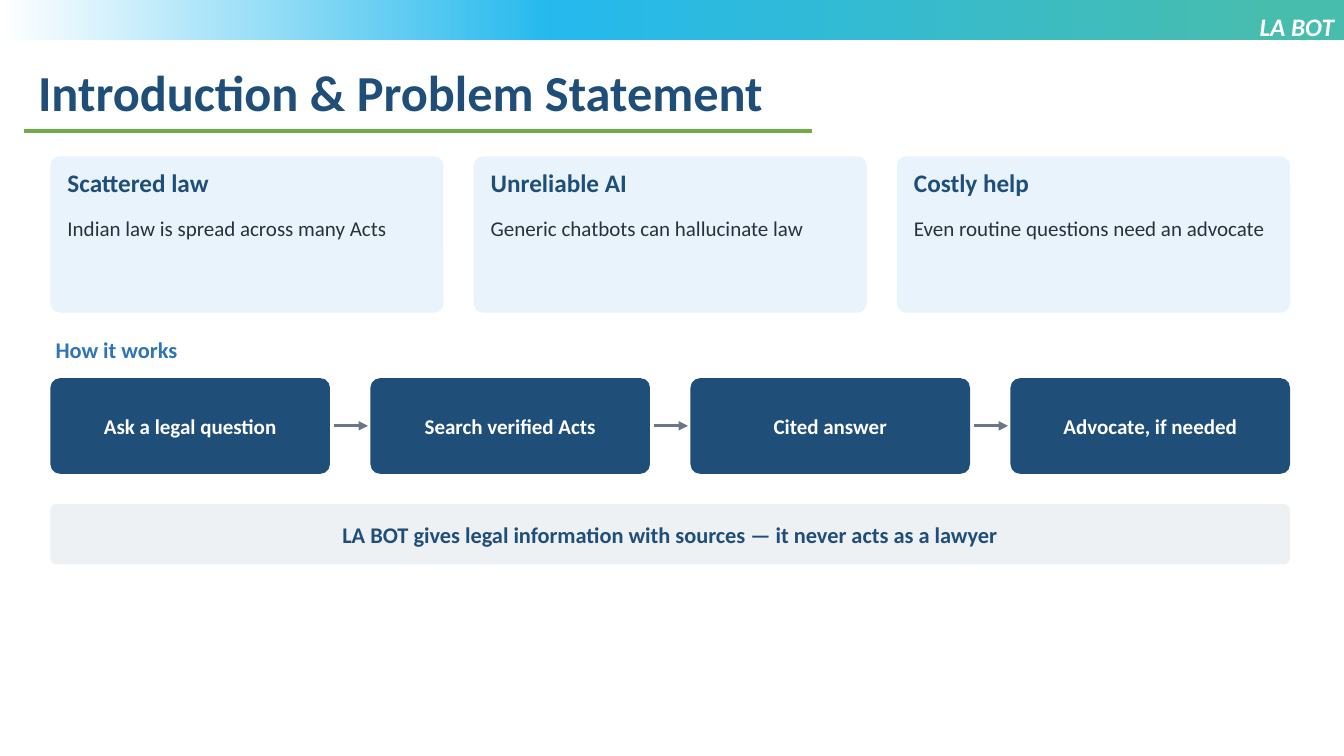
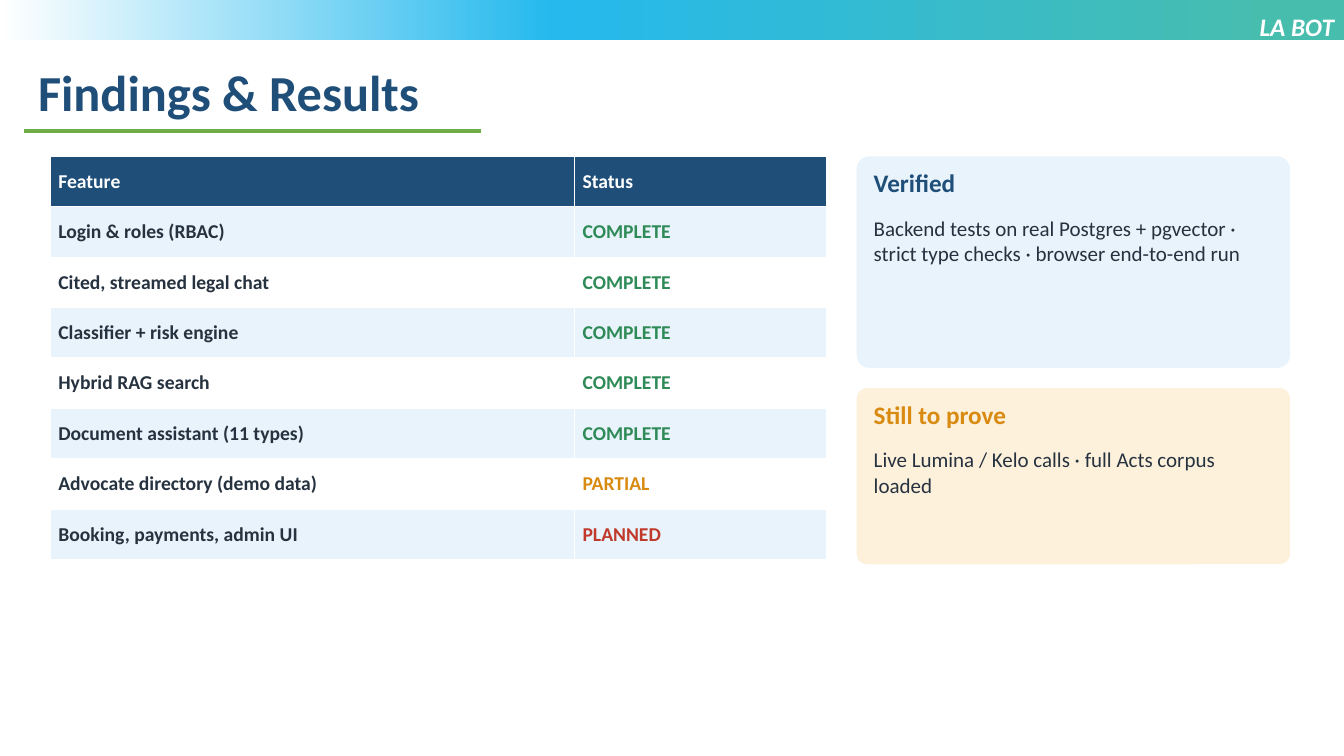
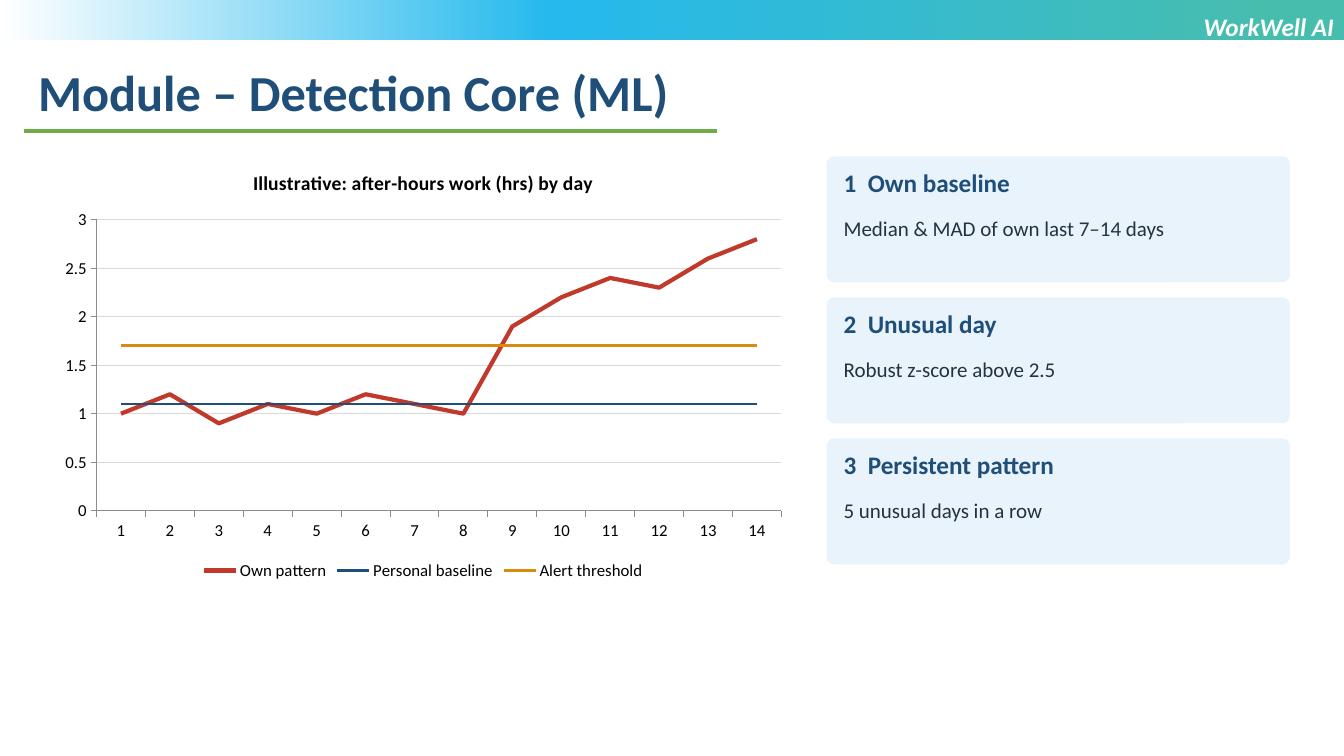
import pptx
import pptx.chart.data
import pptx.dml.color
import pptx.enum.chart
import pptx.enum.shapes
import pptx.enum.text
import pptx.oxml
import pptx.oxml.ns
import pptx.util
from lxml import etree

Cm = pptx.util.Cm
Pt = pptx.util.Pt
Align = pptx.enum.text.PP_ALIGN
Anchor = pptx.enum.text.MSO_ANCHOR
Shape = pptx.enum.shapes.MSO_SHAPE
qn = pptx.oxml.ns.qn

COLORS = {
    "navy": "1F4E79", "blue": "2E75B6", "pale": "E8F3FB", "ink": "26323F",
    "white": "FFFFFF", "green": "70AD47", "arrow": "6B7785", "mist": "EEF1F4",
    "cream": "FDF1DC", "amber": "D98A10", "red": "C0392B", "done": "2E8B57",
    "teal": "47BDAE", "sky": "25B9ED", "grid": "D9D9D9", "axis": "8C8C8C", "black": "000000",
}
BAND_STOPS = [(5, "teal"), (59, "sky"), (100, "white")]
WIDTH, HEIGHT = 33.87, 19.05
LEFT, RIGHT, TOP, BOTTOM = 1.27, 32.51, 3.94, 14.22
FULL = RIGHT - LEFT
TIGHT = (0.13, 0.08)


def color(name):
    return pptx.dml.color.RGBColor.from_string(COLORS[name])


def split(start, total, count, gap):
    size = (total - gap * (count - 1)) / count
    return [start + index * (size + gap) for index in range(count)], size


class Slides:
    font = "Calibri"

    def __init__(self):
        self.deck = pptx.Presentation()
        self.deck.slide_width, self.deck.slide_height = Cm(WIDTH), Cm(HEIGHT)
        self.page = None

    def style(self, font, size, ink, bold=False, italic=False):
        font.name, font.size, font.bold, font.italic = self.font, Pt(size), bold, italic
        font.color.rgb = color(ink)

    def add_span(self, frame, text, size, ink, bold=False, italic=False, align=Align.LEFT):
        para = frame.paragraphs[0]
        para.alignment = align
        if "\t" in text:
            stops = etree.SubElement(para._p.get_or_add_pPr(), qn("a:tabLst"))
            etree.SubElement(stops, qn("a:tab"), pos=str(Cm(0.61)), algn="l")
        span = para.add_run()
        span.text = text
        self.style(span.font, size, ink, bold, italic)

    def inset(self, target, side, edge):
        target.margin_left = target.margin_right = Cm(side)
        target.margin_top = target.margin_bottom = Cm(edge)

    def text(self, left, top, width, height, text, size, ink, insets=TIGHT, **look):
        box = self.page.shapes.add_textbox(Cm(left), Cm(top), Cm(width), Cm(height))
        frame = box.text_frame
        frame.word_wrap = True
        frame.auto_size = pptx.enum.text.MSO_AUTO_SIZE.SHAPE_TO_FIT_TEXT
        self.inset(frame, *insets)
        self.add_span(frame, text, size, ink, **look)

    def shape(self, left, top, width, height, fill, radius=None):
        kind = Shape.RECTANGLE if radius is None else Shape.ROUNDED_RECTANGLE
        shape = self.page.shapes.add_shape(kind, Cm(left), Cm(top), Cm(width), Cm(height))
        shape.shadow.inherit = False
        shape.fill.solid()
        shape.fill.fore_color.rgb = color(fill)
        shape.line.fill.background()
        if radius is not None:
            shape.adjustments[0] = radius
        return shape

    def line(self, start, end, top, ink, arrow=False):
        line = self.page.shapes.add_connector(
            pptx.enum.shapes.MSO_CONNECTOR.STRAIGHT, Cm(start), Cm(top), Cm(end), Cm(top))
        line.line.color.rgb = color(ink)
        line.line.width = Pt(2.25)
        properties = line._element.spPr
        if arrow:
            etree.SubElement(properties.find(qn("a:ln")), qn("a:tailEnd"), type="triangle")
        etree.SubElement(properties, qn("a:effectLst"))

    def band(self):
        band = self.shape(0, 0, WIDTH, 1.02, "sky")
        stops = "".join(
            f'<a:gs pos="{place * 1000}"><a:srgbClr val="{COLORS[name]}"/></a:gs>'
            for place, name in BAND_STOPS)
        gradient = pptx.oxml.parse_xml(
            f'<a:gradFill {pptx.oxml.ns.nsdecls("a")} rotWithShape="1"><a:gsLst>{stops}</a:gsLst>'
            '<a:lin ang="10800000" scaled="0"/></a:gradFill>')
        properties = band._element.spPr
        properties.replace(properties.find(qn("a:solidFill")), gradient)

    def start(self, title, brand, rule_end):
        self.page = self.deck.slides.add_slide(self.deck.slide_layouts[6])
        self.band()
        self.text(0.71, 1.4, 29.51, 1.8, title, 36, "navy", (0.25, 0.13), bold=True)
        self.line(0.61, rule_end, 3.3, "green")
        self.text(16.92, 0.15, 16.95, 1.8, brand, 18, "white", (0.25, 0.13),
                  bold=True, italic=True, align=Align.RIGHT)

    def card(self, left, top, width, height, heading, body, fill="pale", ink="navy"):
        self.shape(left, top, width, height, fill, 0.06)
        self.text(left + 0.3, top + 0.2, width - 0.6, 1.02, heading, 18, ink, bold=True)
        self.text(left + 0.3, top + 1.4, width - 0.6, height - 1.52, body, 15, "ink")

    def label(self, left, top, width, height, text, size, fill, ink):
        frame = self.shape(left, top, width, height, fill, 0.1).text_frame
        frame.word_wrap = True
        frame.vertical_anchor = Anchor.MIDDLE
        self.inset(frame, 0.2, 0.1)
        self.add_span(frame, text, size, ink, bold=True, align=Align.CENTER)

    def table(self, left, top, widths, row_height, rows, status_inks):
        table = self.page.shapes.add_table(
            len(rows), len(widths), Cm(left), Cm(top),
            Cm(sum(widths)), Cm(row_height * len(rows))).table
        for column, width in zip(table.columns, widths):
            column.width = Cm(width)
        for index, row in enumerate(rows):
            table.rows[index].height = Cm(row_height)
            fill = "navy" if index == 0 else "pale" if index % 2 else "white"
            for place, text in enumerate(row):
                cell = table.cell(index, place)
                cell.fill.solid()
                cell.fill.fore_color.rgb = color(fill)
                cell.vertical_anchor = Anchor.MIDDLE
                self.inset(cell, 0.2, 0.08)
                ink = "white" if index == 0 else status_inks.get(text, "ink")
                self.add_span(cell.text_frame, text, 14, ink, bold=True)

    def line_chart(self, left, top, width, height, title, categories, series):
        data = pptx.chart.data.CategoryChartData()
        data.categories = categories
        for name, values, _, _ in series:
            data.add_series(name, values)
        chart = self.page.shapes.add_chart(
            pptx.enum.chart.XL_CHART_TYPE.LINE, Cm(left), Cm(top), Cm(width), Cm(height), data).chart
        self.style(chart.font, 18, "black")
        chart.has_title = True
        self.add_span(chart.chart_title.text_frame, title, 14, "black",
                      bold=True, align=Align.CENTER)
        chart.has_legend = True
        chart.legend.position = pptx.enum.chart.XL_LEGEND_POSITION.BOTTOM
        chart.legend.include_in_layout = False
        self.style(chart.legend.font, 12, "black")
        for axis in (chart.category_axis, chart.value_axis):
            axis.major_tick_mark = pptx.enum.chart.XL_TICK_MARK.OUTSIDE
            axis.format.line.color.rgb = color("axis")
            self.style(axis.tick_labels.font, 12, "black")
        grid = chart.value_axis.major_gridlines.format.line
        grid.color.rgb = color("grid")
        grid.width = Pt(0.75)
        plot = chart.plots[0]
        plot.vary_by_categories = False
        for drawn, (_, _, ink, weight) in zip(plot.series, series):
            drawn.smooth = False
            drawn.format.line.color.rgb = color(ink)
            drawn.format.line.width = Pt(weight)


def problem_slide(slides):
    slides.start("Introduction & Problem Statement", "LA BOT", 20.47)
    problems = [
        ("Scattered law", "Indian law is spread across many Acts"),
        ("Unreliable AI", "Generic chatbots can hallucinate law"),
        ("Costly help", "Even routine questions need an advocate"),
    ]
    lefts, width = split(LEFT, FULL, len(problems), 0.76)
    for left, (heading, body) in zip(lefts, problems):
        slides.card(left, TOP, width, 3.94, heading, body)
    slides.text(LEFT, 8.38, 30.48, 1.02, "How it works", 16, "blue", bold=True)
    steps = ["Ask a legal question", "Search verified Acts", "Cited answer", "Advocate, if needed"]
    gap = 1.02
    lefts, width = split(LEFT, FULL, len(steps), gap)
    for index, (left, step) in enumerate(zip(lefts, steps)):
        if index:
            slides.line(left - gap + 0.1, left - 0.06, 10.73, "arrow", arrow=True)
        slides.label(left, 9.53, width, 2.41, step, 15, "navy", "white")
    slides.label(LEFT, 12.7, FULL, 1.52,
                 "LA BOT gives legal information with sources — it never acts as a lawyer",
                 16, "mist", "navy")


def results_slide(slides):
    slides.start("Findings & Results", "LA BOT", 12.12)
    rows = [
        ("Feature", "Status"),
        ("Login & roles (RBAC)", "COMPLETE"),
        ("Cited, streamed legal chat", "COMPLETE"),
        ("Classifier + risk engine", "COMPLETE"),
        ("Hybrid RAG search", "COMPLETE"),
        ("Document assistant (11 types)", "COMPLETE"),
        ("Advocate directory (demo data)", "PARTIAL"),
        ("Booking, payments, admin UI", "PLANNED"),
    ]
    status_inks = {"COMPLETE": "done", "PARTIAL": "amber", "PLANNED": "red"}
    slides.table(LEFT, TOP, [13.21, 6.35], 1.27, rows, status_inks)
    left = 21.59
    slides.card(left, TOP, RIGHT - left, 5.33, "Verified",
                "Backend tests on real Postgres + pgvector · strict type checks · browser end-to-end run")
    slides.card(left, 9.78, RIGHT - left, BOTTOM - 9.78, "Still to prove",
                "Live Lumina / Kelo calls · full Acts corpus loaded", "cream", "amber")


def detection_slide(slides):
    slides.start("Module – Detection Core (ML)", "WorkWell AI", 18.08)
    pattern = [1, 1.2, 0.9, 1.1, 1, 1.2, 1.1, 1, 1.9, 2.2, 2.4, 2.3, 2.6, 2.8]
    days = len(pattern)
    slides.line_chart(
        LEFT, 3.81, 18.8, 10.92, "Illustrative: after-hours work (hrs) by day",
        [str(day) for day in range(1, days + 1)],
        [("Own pattern", pattern, "red", 3),
         ("Personal baseline", [1.1] * days, "navy", 2),
         ("Alert threshold", [1.7] * days, "amber", 2)])
    rules = [
        ("Own baseline", "Median & MAD of own last 7–14 days"),
        ("Unusual day", "Robust z-score above 2.5"),
        ("Persistent pattern", "5 unusual days in a row"),
    ]
    left = 20.83
    tops, height = split(TOP, BOTTOM - TOP, len(rules), 0.38)
    for number, (top, (heading, body)) in enumerate(zip(tops, rules), 1):
        slides.card(left, top, RIGHT - left, height, f"{number}\t{heading}", body)


def main():
    slides = Slides()
    problem_slide(slides)
    results_slide(slides)
    detection_slide(slides)
    slides.deck.save("out.pptx")


if __name__ == "__main__":
    main()
